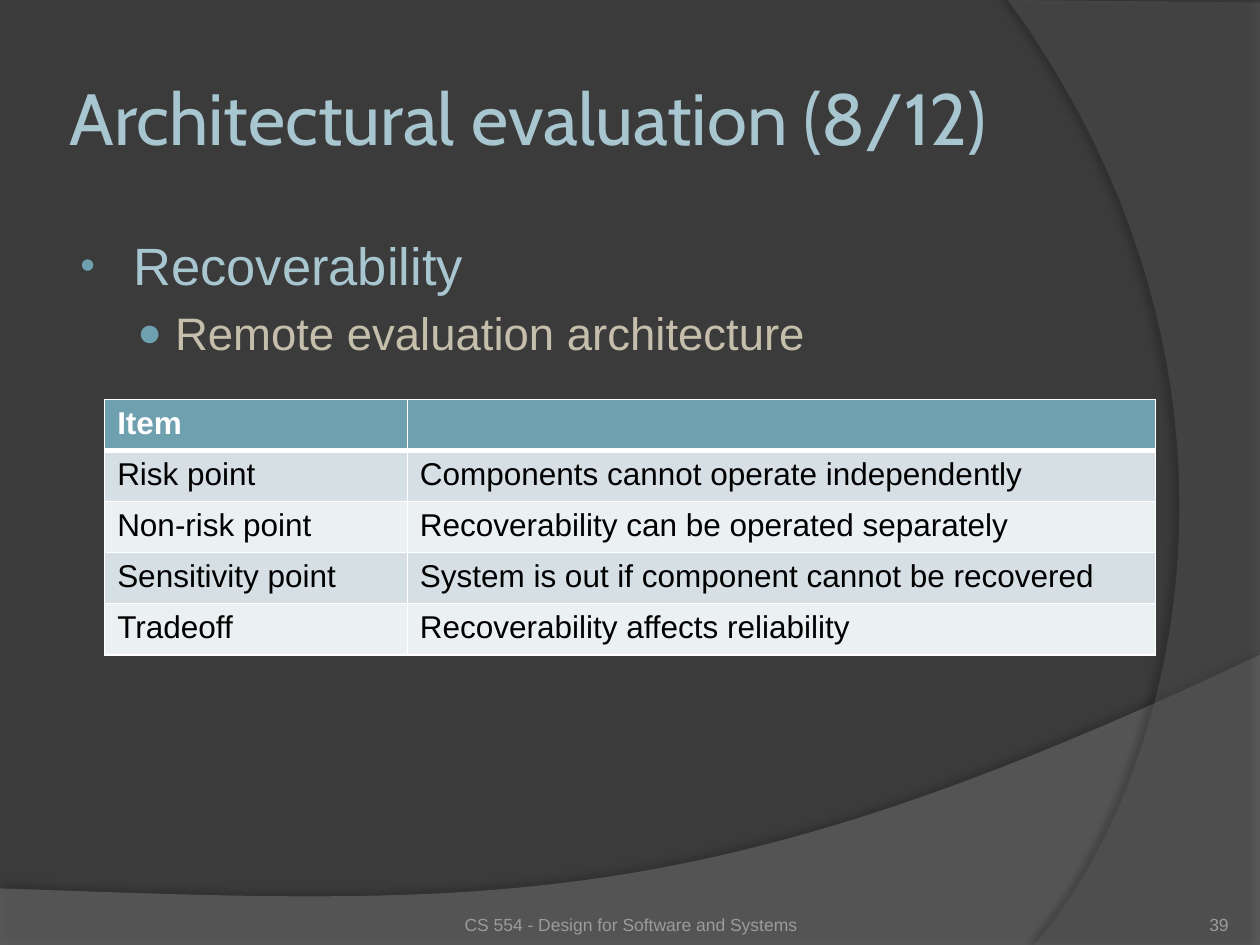
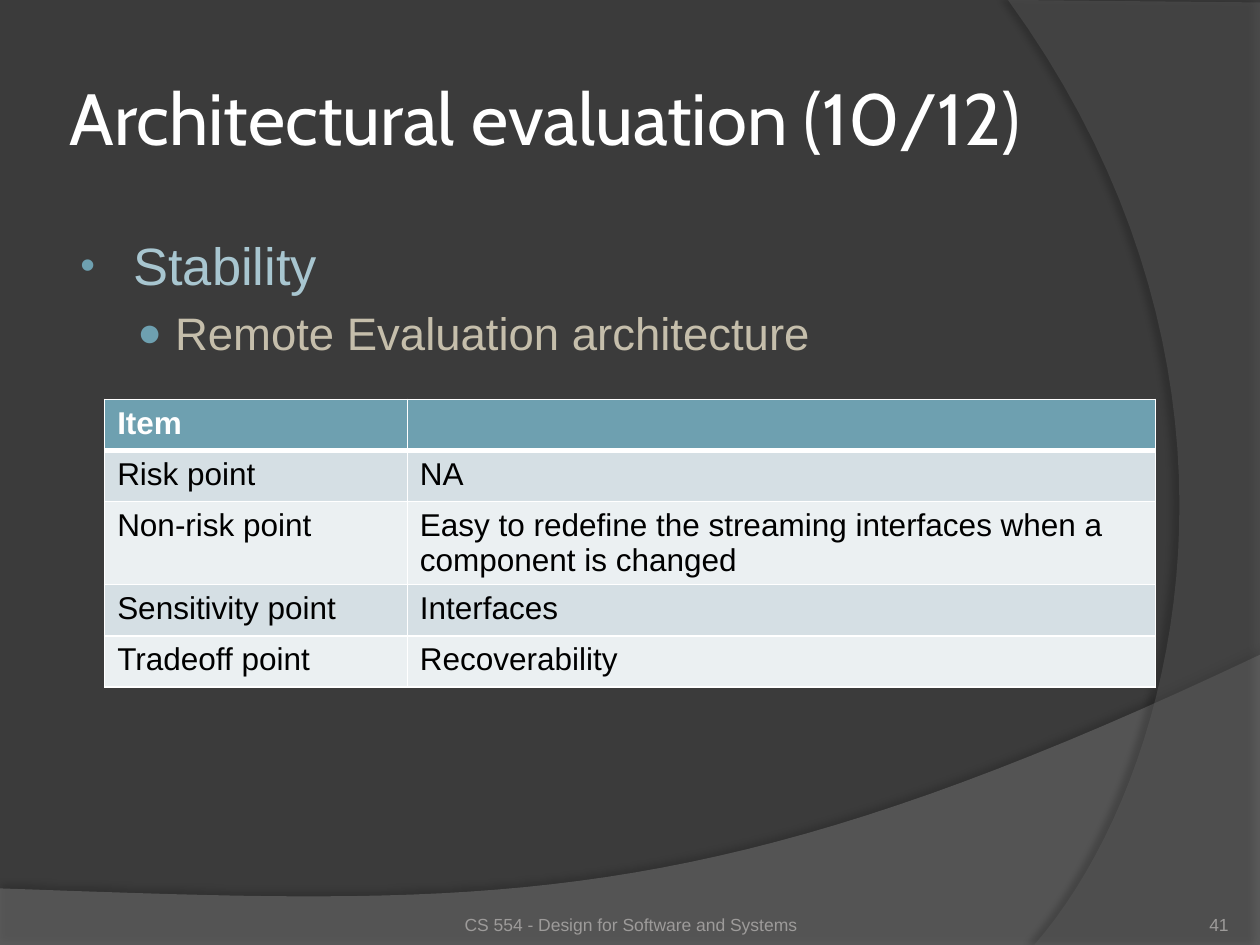
from lxml.etree import SubElement
from pptx import Presentation
from pptx.dml.color import RGBColor
from pptx.enum.text import MSO_ANCHOR, MSO_AUTO_SIZE, PP_ALIGN
from pptx.oxml.ns import qn
from pptx.util import Cm, Pt

BACK = RGBColor(0x3B, 0x3B, 0x3B)
SWEEP = RGBColor(0x7F, 0x7F, 0x7F)
ARC = RGBColor(0x5E, 0x5E, 0x5E)
SKY = RGBColor(0xA8, 0xC6, 0xD0)
TEAL = RGBColor(0x6E, 0xA0, 0xB0)
SAND = RGBColor(0xC5, 0xBE, 0xAB)
MIST = RGBColor(0xD5, 0xDF, 0xE4)
PALE = RGBColor(0xEB, 0xF0, 0xF2)
GRAY = RGBColor(0x9D, 0x9B, 0x9A)
WHITE = RGBColor(0xFF, 0xFF, 0xFF)
BLACK = RGBColor(0, 0, 0)

FOOTER = "CS 554 - Design for Software and Systems"
BULLETS = [("•", 80, 1.17, -1.07, 30, SKY), ("●", 90, 2.01, -0.76, 26, SAND)]
SLIDES = [
    ("Architectural evaluation (8/12)", SKY, "39",
     ["Recoverability", "Remote evaluation architecture"],
     [("Item", ""),
      ("Risk point", "Components cannot operate independently"),
      ("Non-risk point", "Recoverability can be operated separately"),
      ("Sensitivity point", "System is out if component cannot be recovered"),
      ("Tradeoff", "Recoverability affects reliability")]),
    ("Architectural evaluation (10/12)", WHITE, "41",
     ["Stability", "Remote Evaluation architecture"],
     [("Item", ""),
      ("Risk point", "NA"),
      ("Non-risk point", "Easy to redefine the streaming interfaces "
       "when a component is changed"),
      ("Sensitivity point", "Interfaces"),
      ("Tradeoff point", "Recoverability")]),
]


def add_run(para, text, size, color, font="Arial", bold=False):
    """Add one formatted run to a paragraph."""
    run = para.add_run()
    run.text = text
    run.font.name, run.font.size, run.font.bold = font, Pt(size), bold
    run.font.color.rgb = color


def set_frame(frame, anchor, left=0, top=0, right=0, bottom=0):
    """Set wrapping, anchor and insets of a text frame."""
    frame.word_wrap = True
    frame.auto_size = MSO_AUTO_SIZE.NONE
    frame.vertical_anchor = anchor
    frame.margin_left, frame.margin_top = Cm(left), Cm(top)
    frame.margin_right, frame.margin_bottom = Cm(right), Cm(bottom)


def curve(start, one, two, end, steps=40):
    """Return points along a cubic curve, without its start."""
    points = []
    for step in range(1, steps + 1):
        t = step / steps
        parts = ((1 - t) ** 3, 3 * t * (1 - t) ** 2, 3 * t * t * (1 - t), t ** 3)
        points.append(tuple(sum(w * p[axis] for w, p in zip(parts, (start, one, two, end)))
                            for axis in (0, 1)))
    return points


def add_band(slide, left, top, points, color, alpha, shade, dist, angle):
    """Draw a see-through band with a soft shadow, offset from its corner."""
    spots = [(Cm(left + x), Cm(top + y)) for x, y in points]
    build = slide.shapes.build_freeform(*spots[0])
    build.add_line_segments(spots[1:])
    band = build.convert_to_shape()
    band.fill.solid()
    band.fill.fore_color.rgb = color
    band.line.fill.background()
    band.shadow.inherit = False
    props = band.element.spPr
    tint = props.find(".//" + qn("a:srgbClr"))
    SubElement(tint, qn("a:alpha"), val=str(alpha * 1000))
    drop = SubElement(props.find(qn("a:effectLst")), qn("a:outerShdw"),
                      blurRad=str(Pt(4)), dist=str(Pt(dist)),
                      dir=str(angle * 60000), algn="ctr", rotWithShape="0")
    ink = SubElement(drop, qn("a:srgbClr"), val=str(BLACK))
    SubElement(ink, qn("a:alpha"), val=str(shade * 1000))


def add_decor(slide):
    """Draw the lower sweep and the right arc."""
    sweep = [(0, 4.71), (0, 5.85), (25.4, 5.85), (25.4, 0)]
    sweep += curve(sweep[-1], (14.2, 5.32), (9.93, 5.06), sweep[0])
    add_band(slide, 0, 13.2, sweep, SWEEP, 45, 35, 3.5, 270)
    arc = [(5.08, 0.05), (5.08, 19.05), (0.53, 19.05)]
    arc += curve(arc[-1], (3.43, 15.72), (5.54, 7.62), (0, 0)) + arc[:1]
    add_band(slide, 20.32, 0, arc, ARC, 40, 45, 4, 180)


def add_title(slide, text, color, left, top, width, height):
    """Place and fill the title placeholder above the bands."""
    title = slide.shapes.title
    title.left, title.top = Cm(left), Cm(top)
    title.width, title.height = Cm(width), Cm(height)
    set_frame(title.text_frame, MSO_ANCHOR.MIDDLE, 0.13, 0.13, 0.13, 0.13)
    para = title.text_frame.paragraphs[0]
    para.alignment = PP_ALIGN.LEFT
    add_run(para, text, 41.4, color, "Cabin")
    slide.shapes.element.append(title.element)


def add_list(slide, lines, left, top, width, height):
    """Write the two-level bullet list."""
    frame = slide.shapes.add_textbox(Cm(left), Cm(top), Cm(width), Cm(height)).text_frame
    set_frame(frame, MSO_ANCHOR.TOP, 0.25, 0.13, 0.25, 0.13)
    for level, (text, look) in enumerate(zip(lines, BULLETS)):
        mark, scale, margin, indent, size, color = look
        para = frame.add_paragraph() if level else frame.paragraphs[0]
        props = para._p.get_or_add_pPr()
        props.set("marL", str(Cm(margin)))
        props.set("indent", str(Cm(indent)))
        tint = SubElement(props, qn("a:buClr"))
        SubElement(tint, qn("a:srgbClr"), val=str(TEAL))
        SubElement(props, qn("a:buSzPct"), val=str(scale * 1000))
        SubElement(props, qn("a:buFont"), typeface="Arial")
        SubElement(props, qn("a:buChar"), char=mark)
        para.level = level
        if level:
            para.space_before = Pt(size * 0.2)
        add_run(para, text, size, color)


def set_edges(cell, row):
    """Give a cell white borders, thick below the header."""
    props = cell._tc.get_or_add_tcPr()
    thick = {"lnT": row == 1, "lnB": row == 0}
    for side in ("lnL", "lnR", "lnT", "lnB"):
        edge = SubElement(props, qn("a:" + side), w=str(Pt(3 if thick.get(side) else 1)))
        fill = SubElement(edge, qn("a:solidFill"))
        SubElement(fill, qn("a:srgbClr"), val=str(WHITE))


def add_grid(slide, rows, left, top, widths, pitch):
    """Build the evaluation table; long texts get a two-line row."""
    tall = [1.65 if len(row[1]) > 60 else pitch for row in rows]
    grid = slide.shapes.add_table(len(rows), len(widths), Cm(left), Cm(top),
                                  Cm(sum(widths)), Cm(sum(tall))).table
    for col, width in zip(grid.columns, widths):
        col.width = Cm(width)
    for num, row in enumerate(rows):
        grid.rows[num].height = Cm(tall[num])
        for col, text in enumerate(row):
            cell = grid.cell(num, col)
            set_edges(cell, num)
            cell.fill.solid()
            cell.fill.fore_color.rgb = (MIST if num % 2 else PALE) if num else TEAL
            if text:
                add_run(cell.text_frame.paragraphs[0], text, 18,
                        BLACK if num else WHITE, bold=num == 0)


def add_note(slide, text, align, left, width, inset=0):
    """Write one small footer text."""
    frame = slide.shapes.add_textbox(Cm(left), Cm(17.83), Cm(width), Cm(1.02)).text_frame
    set_frame(frame, MSO_ANCHOR.BOTTOM, top=inset)
    para = frame.paragraphs[0]
    para.alignment = align
    add_run(para, text, 10, GRAY)


def add_page(deck, title, color, number, lines, rows):
    """Build one evaluation slide."""
    slide = deck.slides.add_slide(deck.slide_layouts.get_by_name("Title Only"))
    add_decor(slide)
    add_title(slide, title, color, 1.27, 0.76, 20.75, 3.18)
    add_list(slide, lines, 1.27, 4.57, 22.86, 13)
    add_grid(slide, rows, 2.11, 8.05, (6.1, 15.08), 1.03)
    add_note(slide, number, PP_ALIGN.RIGHT, 22.66, 2.11)
    add_note(slide, FOOTER, PP_ALIGN.CENTER, 8.69, 8.05, 0.13)


def main():
    """Build and save the deck."""
    deck = Presentation()
    deck.slide_width, deck.slide_height = Cm(25.4), Cm(19.05)
    fill = deck.slide_master.background.fill
    fill.solid()
    fill.fore_color.rgb = BACK
    for page in SLIDES:
        add_page(deck, *page)
    deck.save("out.pptx")


if __name__ == "__main__":
    main()
